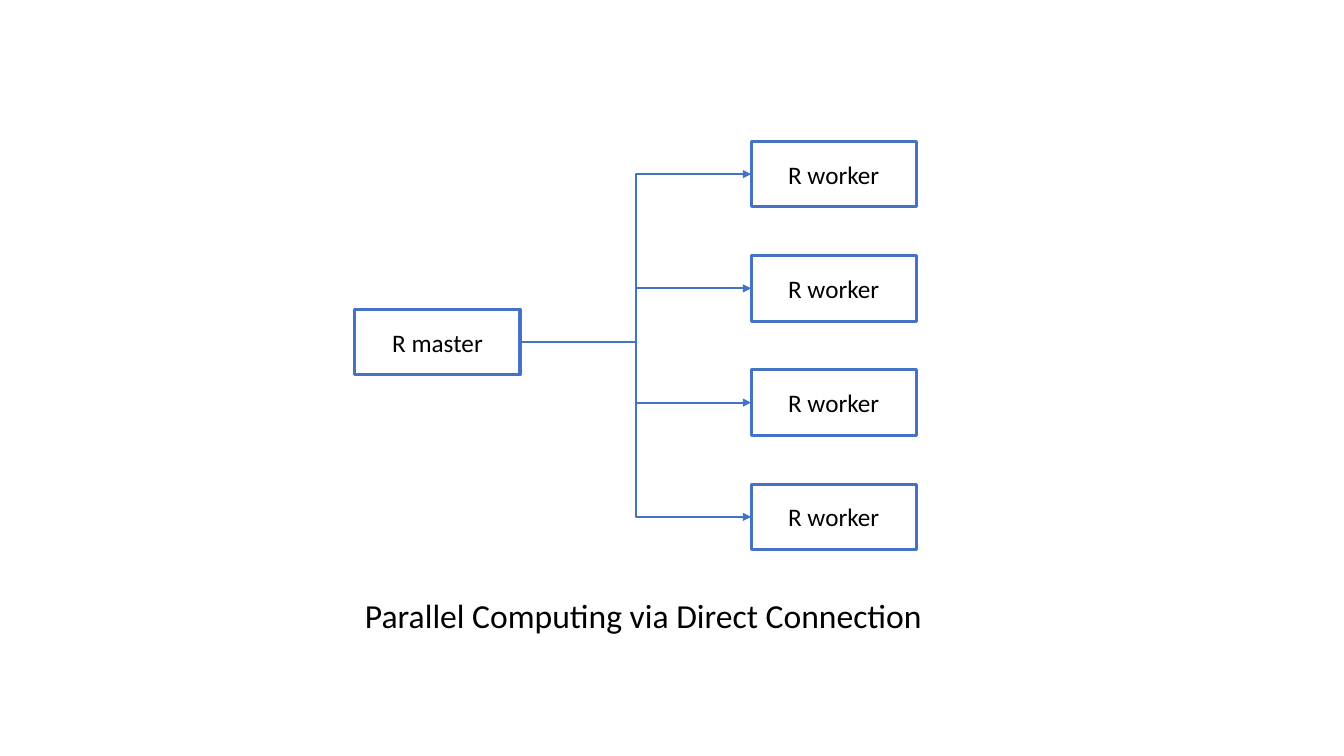
from dataclasses import dataclass

from pptx import Presentation
from pptx.dml.color import RGBColor
from pptx.enum.dml import MSO_LINE
from pptx.enum.shapes import MSO_CONNECTOR, MSO_SHAPE
from pptx.enum.text import MSO_ANCHOR, MSO_AUTO_SIZE, PP_ALIGN
from pptx.oxml.ns import qn
from pptx.util import Pt
from lxml import etree

RECT = MSO_SHAPE.RECTANGLE
ELBOW = MSO_CONNECTOR.ELBOW
SOLID = MSO_LINE.SOLID
MIDDLE = MSO_ANCHOR.MIDDLE
TOP = MSO_ANCHOR.TOP
CENTER = PP_ALIGN.CENTER
LEFT = PP_ALIGN.LEFT
GROW = MSO_AUTO_SIZE.SHAPE_TO_FIT_TEXT


@dataclass
class Theme:
    font: str = "Calibri"
    blue: RGBColor = RGBColor(0x44, 0x72, 0xC4)
    white: RGBColor = RGBColor(255, 255, 255)
    black: RGBColor = RGBColor(0, 0, 0)
    label: float = 18
    title: float = 24
    edge: float = 2.25
    wire: float = 1.5


theme = Theme()


def write(shape, text, size, align, anchor):
    frame = shape.text_frame
    frame.text = text
    frame.vertical_anchor = anchor
    line = frame.paragraphs[0]
    line.alignment = align
    font = line.runs[0].font
    font.name = theme.font
    font.size = Pt(size)
    font.color.rgb = theme.black


def node(text, left, top):
    box = slide.shapes.add_shape(RECT, Pt(left), Pt(top), Pt(118), Pt(46.8))
    box.shadow.inherit = False
    box.fill.solid()
    box.fill.fore_color.rgb = theme.white
    box.line.color.rgb = theme.blue
    box.line.width = Pt(theme.edge)
    write(box, text, theme.label, CENTER, MIDDLE)
    return box


deck = Presentation()
deck.slide_width = Pt(960)
deck.slide_height = Pt(540)
slide = deck.slides.add_slide(deck.slide_layouts[5])

title = slide.shapes.title
title.left, title.top = Pt(253.5), Pt(421.2)
title.width, title.height = Pt(416), Pt(36)
write(title, "Parallel Computing via Direct Connection", theme.title, LEFT, TOP)
title.text_frame.word_wrap = False
title.text_frame.auto_size = GROW

master = node("R master", 253.5, 221)
workers = [node("R worker", 536.5, 101 + 81.6 * row) for row in range(4)]

for worker in workers:
    wire = slide.shapes.add_connector(ELBOW, 0, 0, 0, 0)
    wire.begin_connect(master, 3)
    wire.end_connect(worker, 1)
    wire.line.color.rgb = theme.blue
    wire.line.width = Pt(theme.wire)
    wire.line.dash_style = SOLID
    props = wire.line._get_or_add_ln()
    etree.SubElement(props, qn("a:tailEnd"), type="triangle")
    etree.SubElement(props.getparent(), qn("a:effectLst"))

deck.save("out.pptx")
